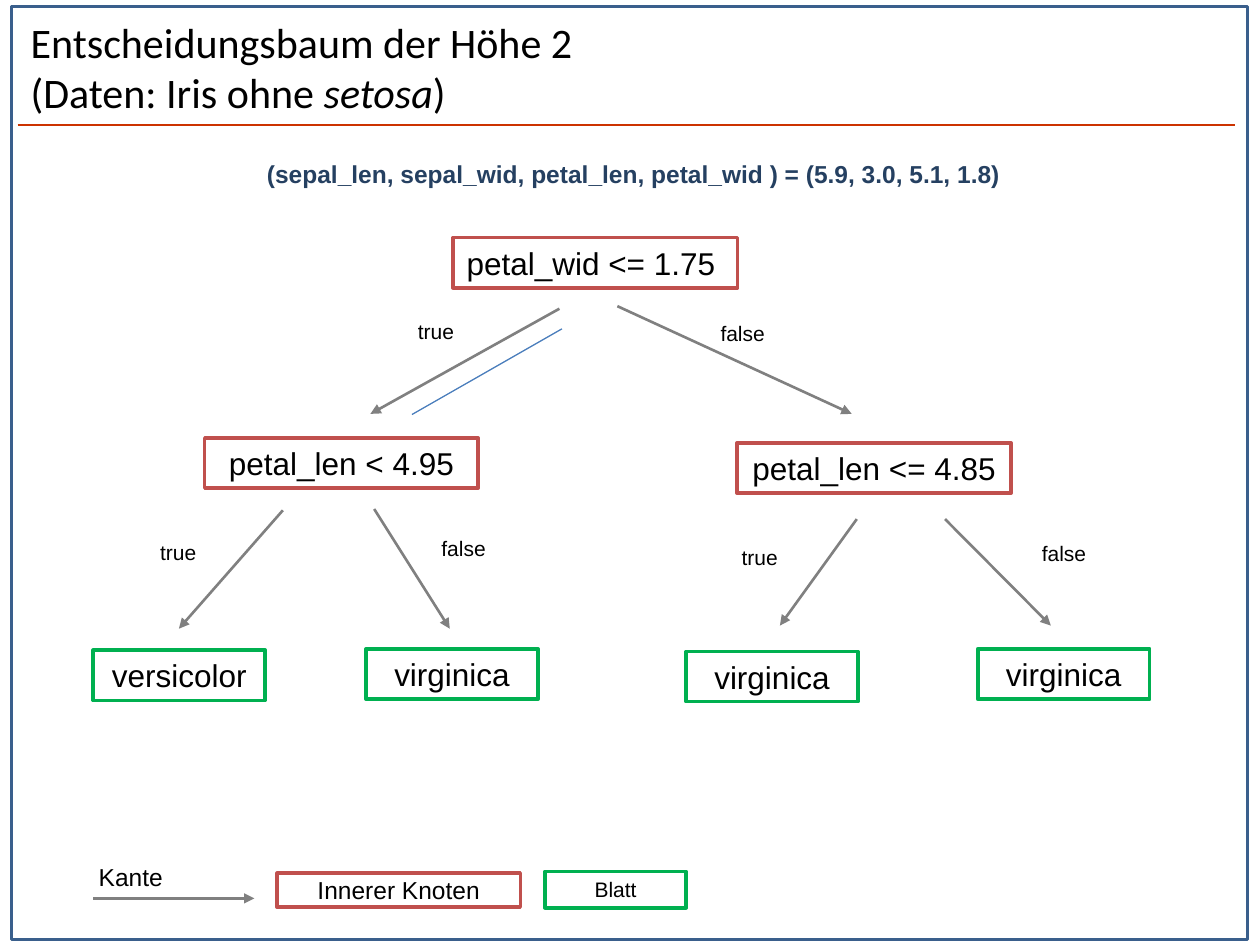
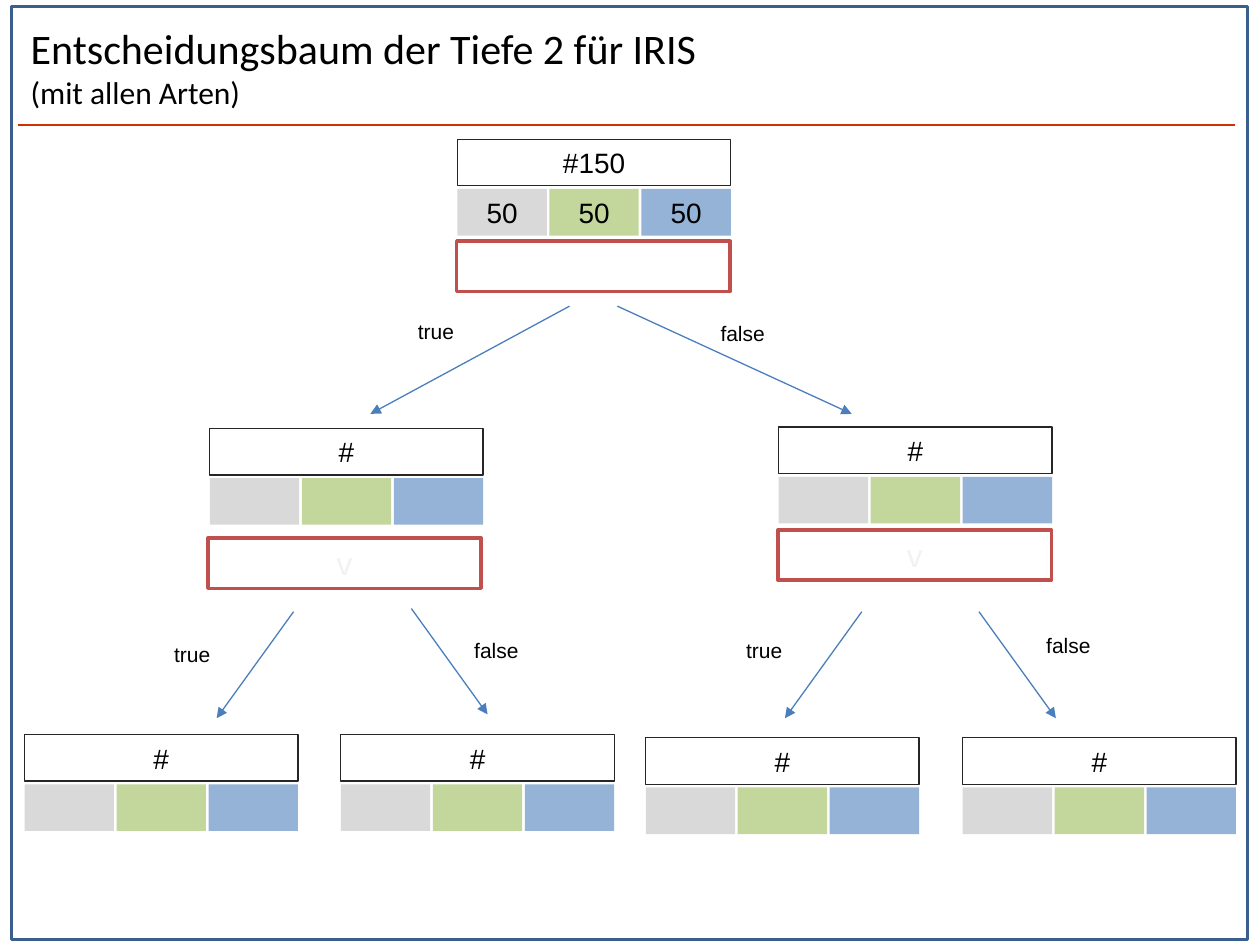
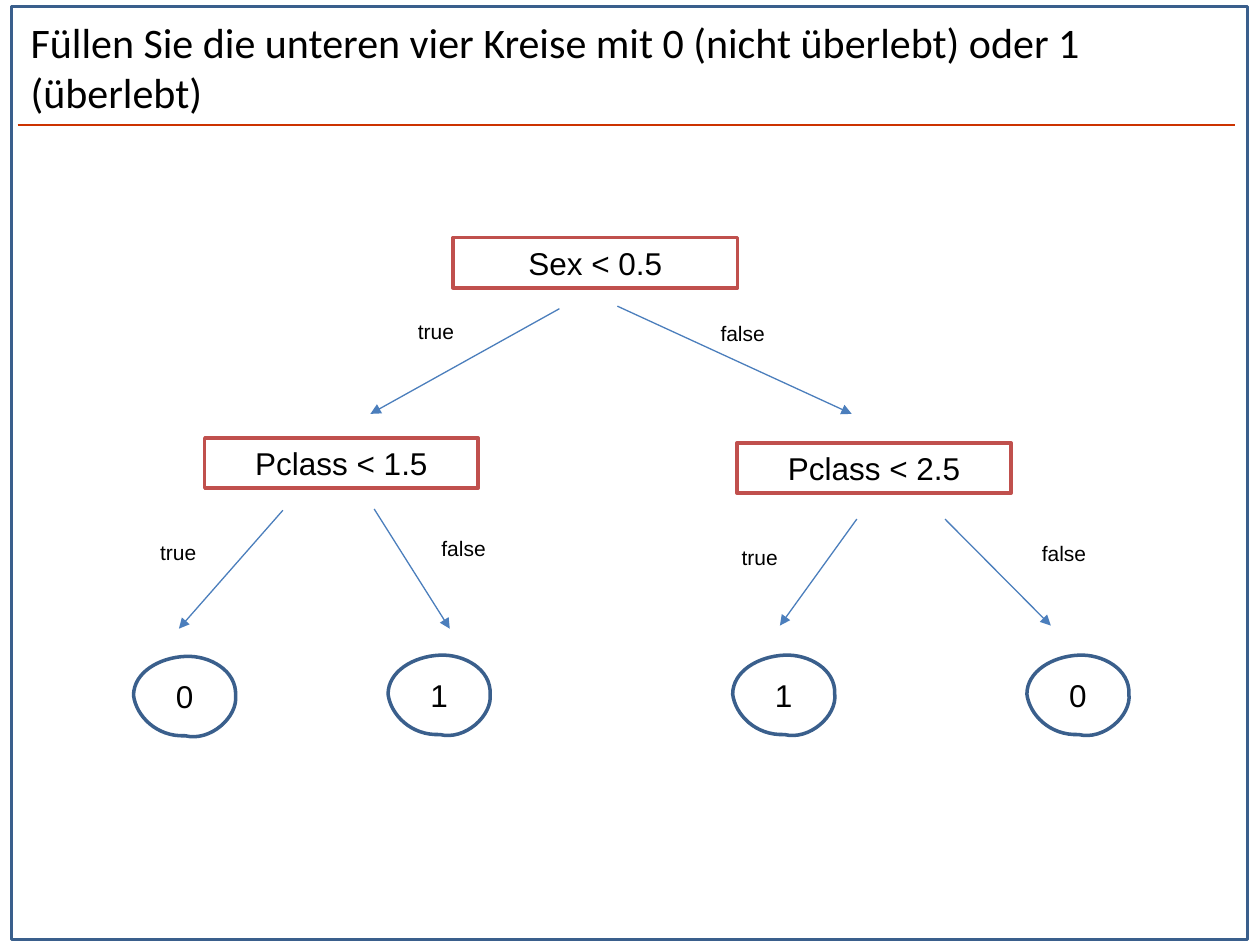
"""Build three slides on decision trees for the iris and passenger data."""
from lxml import etree
from pptx import Presentation
from pptx.dml.color import RGBColor
from pptx.enum.shapes import MSO_CONNECTOR, MSO_SHAPE
from pptx.enum.text import MSO_ANCHOR, PP_ALIGN
from pptx.oxml.ns import qn
from pptx.util import Inches, Pt

RECT, STRAIGHT = MSO_SHAPE.RECTANGLE, MSO_CONNECTOR.STRAIGHT
LEFT, CENTER, MIDDLE = PP_ALIGN.LEFT, PP_ALIGN.CENTER, MSO_ANCHOR.MIDDLE

BLACK = RGBColor(0x00, 0x00, 0x00)
WHITE = RGBColor(0xFF, 0xFF, 0xFF)
FRAME = RGBColor(0x3A, 0x5F, 0x8C)
RULE = RGBColor(0xCC, 0x33, 0x00)
NAVY = RGBColor(0x25, 0x40, 0x61)
RED = RGBColor(0xC0, 0x50, 0x4D)
GREEN = RGBColor(0x00, 0xB0, 0x50)
GREY = RGBColor(0x80, 0x80, 0x80)
BLUE = RGBColor(0x4B, 0x7E, 0xBC)
DARK = RGBColor(0x26, 0x26, 0x26)
PALE = RGBColor(0xF2, 0xF2, 0xF2)
SPECIES = [RGBColor(0xD9, 0xD9, 0xD9), RGBColor(0xC3, 0xD6, 0x9B), RGBColor(0x95, 0xB3, 0xD7)]

CORNERS = [(0, 3.1), (4.1, 0), (8.1, 3.1), (4.1, 6.3)]
HANDLES = [((0, 1.3), (2, 0.1)), ((6, -0.1), (8.2, 1.1)),
           ((8.3, 4.8), (6.1, 6.8)), ((1.8, 6.4), (0.2, 4.7))]

prs = Presentation()
prs.slide_width, prs.slide_height = Inches(10), Inches(7.5)
U = prs.slide_width // 100


def box(s, at, text="", fill=None, line=None, width=2, size=18, font="Arial",
        color=BLACK, bold=False, align=CENTER, wrap=True, curved=False):
    """Add a shape or text box at a grid place; text is a string or (text, size, italic) runs."""
    x, y, w, h = (round(v * U) for v in at)
    if curved:
        points = [(x + round(dx * U), y + round(dy * U)) for dx, dy in CORNERS]
        builder = s.shapes.build_freeform(*points[0])
        builder.add_line_segments(points[1:] + points[:1])
        sp = builder.convert_to_shape()
        for segment, pair in zip(list(sp.element.iter(qn("a:lnTo"))), HANDLES):
            segment.tag = qn("a:cubicBezTo")
            for i, (dx, dy) in enumerate(pair):
                segment.insert(i, etree.Element(qn("a:pt"), x=str(round(dx * U)), y=str(round(dy * U))))
    elif fill or line:
        sp = s.shapes.add_shape(RECT, x, y, w, h)
    else:
        sp = s.shapes.add_textbox(x, y, w, h)
    if fill or line:
        sp.shadow.inherit = False
    if fill:
        sp.fill.solid()
        sp.fill.fore_color.rgb = fill
    else:
        sp.fill.background()
    if line:
        sp.line.color.rgb = line
        sp.line.width = Pt(width)
    else:
        sp.line.fill.background()
    if text:
        tf = sp.text_frame
        tf.word_wrap = wrap
        tf.vertical_anchor = MIDDLE
        p = tf.paragraphs[0]
        p.alignment = align
        for words, points, italic in [(text, size, False)] if isinstance(text, str) else text:
            for i, part in enumerate(words.split("\n")):
                if i:
                    p.add_line_break()
                if part:
                    r = p.add_run()
                    r.text = part
                    r.font.name, r.font.size = font, Pt(points)
                    r.font.bold, r.font.italic = bold, italic
                    r.font.color.rgb = color


def link(s, ends, color=BLUE, width=0.75, head=True):
    """Add a straight line between two grid points, with an arrowhead if wanted."""
    c = s.shapes.add_connector(STRAIGHT, *(round(v * U) for v in ends))
    c.line.color.rgb = color
    c.line.width = Pt(width)
    props = c.element.spPr
    if head:
        etree.SubElement(props.find(qn("a:ln")), qn("a:tailEnd"), type="triangle")
    etree.SubElement(props, qn("a:effectLst"))


titles = [
    [("Entscheidungsbaum der Höhe 2\n(Daten: Iris ohne ", 24, False), ("setosa", 24, True), (")", 24, False)],
    [("Entscheidungsbaum der Tiefe 2 für IRIS \n", 24, False), ("(mit allen Arten)", 18, False)],
    [("Füllen Sie die unteren vier Kreise mit 0 (nicht überlebt) oder 1 (überlebt)", 24, False)],
]
slides = []
for title in titles:
    s = prs.slides.add_slide(prs.slide_layouts[6])
    link(s, (1.4, 9.9, 98, 9.9), RULE, 1, head=False)
    box(s, (0.9, 0.5, 98.1, 74.05), line=FRAME)
    box(s, (1.45, 0.65, 96.6, 9.3), title, font="Calibri", align=LEFT)
    slides.append(s)
iris, counts, survival = slides

root_edges = [(44.4, 24.5, 29.4, 32.85), (49, 24.3, 67.6, 32.85)]
root_labels = [(30.1, 24.8), (54.45, 24.95)]
edges = root_edges + [(22.45, 40.5, 14.2, 49.9), (29.7, 40.4, 35.7, 49.9),
                      (68, 41.2, 61.9, 49.65), (75, 41.2, 83.4, 49.65)]
labels = root_labels + [(9.65, 42.3), (32.3, 42), (55.8, 42.7), (79.95, 42.4)]
count_edges = [(45.2, 24.3, 29.4, 32.85), root_edges[1],
               (23.3, 48.55, 17.2, 57), (32.65, 48.3, 38.7, 56.7),
               (68.4, 48.55, 62.3, 57), (77.7, 48.55, 83.8, 57)]
count_labels = root_labels + [(10.75, 50.4), (34.9, 50.1), (56.15, 50.1), (80.3, 49.7)]

for s, tree_edges, tree_labels, color, width in [
        (iris, edges, labels, GREY, 1.5),
        (counts, count_edges, count_labels, BLUE, 0.75),
        (survival, edges, labels, BLUE, 0.75)]:
    for i, (ends, (x, y)) in enumerate(zip(tree_edges, tree_labels)):
        link(s, ends, color, width)
        box(s, (x, y, 9, 3), ("true", "false")[i % 2], size=12)

tests = [(35.95, 18.85, 22.6, 4), (16.25, 34.75, 21.7, 4), (58.5, 35.15, 21.75, 4)]
for s, conditions in [
        (iris, ["petal_wid <= 1.75 ", "petal_len < 4.95", "petal_len <= 4.85"]),
        (survival, ["Sex < 0.5", "Pclass < 1.5", "Pclass < 2.5"])]:
    for at, condition in zip(tests, conditions):
        box(s, at, condition, WHITE, RED)

for x, y, name in [(7.4, 51.6, "versicolor"), (29.05, 51.5, "virginica"),
                   (54.45, 51.7, "virginica"), (77.6, 51.5, "virginica")]:
    box(iris, (x, y, 13.65, 4), name, WHITE, GREEN)
box(iris, (20.2, 12.1, 60.4, 3.4), "(sepal_len, sepal_wid, petal_len, petal_wid ) = (5.9, 3.0, 5.1, 1.8)",
    size=14, color=NAVY, bold=True, align=LEFT, wrap=False)
link(iris, (44.6, 26.1, 32.7, 32.9), head=False)
link(iris, (7.4, 71.3, 20.2, 71.3), GREY, 1.5)
box(iris, (6.85, 67.9, 7.1, 3.4), "Kante", size=14, align=LEFT, wrap=False)
box(iris, (22, 69.3, 19.3, 2.7), "Innerer Knoten", WHITE, RED, size=14)
box(iris, (43.25, 69.15, 11.2, 2.9), "Blatt", WHITE, GREEN, size=12)

for x, y, total, share in [
        (36.3, 11.05, "#150", "50"), (16.65, 34, "#", ""), (61.8, 33.9, "#", ""),
        (1.95, 58.3, "#", ""), (27.05, 58.3, "#", ""), (51.25, 58.55, "#", ""), (76.4, 58.55, "#", "")]:
    box(counts, (x, y, 21.7, 3.7), total, line=DARK, width=0.75, size=16)
    for i, color in enumerate(SPECIES):
        box(counts, (x + 7.3 * i, y + 3.95, 7.1, 3.7), share, color, size=16)
for x, y, mark in [(36.25, 19.15, ""), (16.5, 42.7, "v"), (61.75, 42.05, "v")]:
    box(counts, (x, y, 21.7, 4), mark, WHITE, RED, color=PALE)

for x, y, answer in [(10.6, 52.1, "0"), (30.8, 52, "1"), (58.15, 52, "1"), (81.5, 52, "0")]:
    box(survival, (x, y, 8.1, 6.3), answer, line=FRAME, curved=True)

prs.save("out.pptx")
